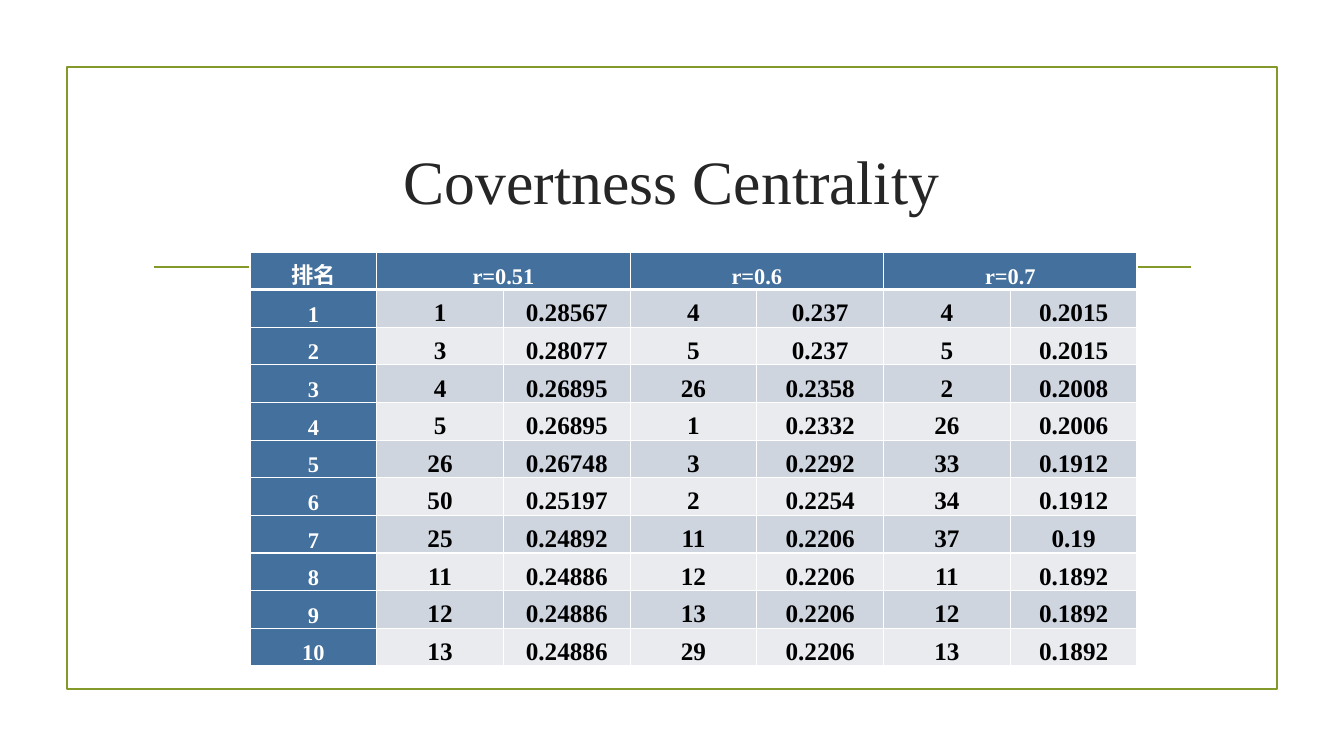
from lxml.etree import SubElement
from pptx import Presentation
from pptx.dml.color import RGBColor
from pptx.enum.shapes import MSO_CONNECTOR as Connector, MSO_SHAPE as Shape
from pptx.enum.text import MSO_ANCHOR as Anchor, PP_ALIGN as Align
from pptx.oxml import parse_xml
from pptx.oxml.ns import nsdecls, qn
from pptx.util import Pt

# Content
TITLE = "Covertness Centrality"
RANK_HEADING = "排名"
RADII = ["r=0.51", "r=0.6", "r=0.7"]
RANKING = [  # node and score for each radius
    ("1", "0.28567", "4", "0.237", "4", "0.2015"),
    ("3", "0.28077", "5", "0.237", "5", "0.2015"),
    ("4", "0.26895", "26", "0.2358", "2", "0.2008"),
    ("5", "0.26895", "1", "0.2332", "26", "0.2006"),
    ("26", "0.26748", "3", "0.2292", "33", "0.1912"),
    ("50", "0.25197", "2", "0.2254", "34", "0.1912"),
    ("25", "0.24892", "11", "0.2206", "37", "0.19"),
    ("11", "0.24886", "12", "0.2206", "11", "0.1892"),
    ("12", "0.24886", "13", "0.2206", "12", "0.1892"),
    ("13", "0.24886", "29", "0.2206", "13", "0.1892"),
]

# Style
FONT = "Times New Roman"
OLIVE = RGBColor(0x83, 0x99, 0x2A)
CHARCOAL = RGBColor(0x26, 0x26, 0x26)
BLACK = RGBColor(0, 0, 0)
WHITE = RGBColor(0xFF, 0xFF, 0xFF)
BLUE = RGBColor(0x44, 0x70, 0x9D)
BANDS = [RGBColor(0xCF, 0xD5, 0xDF), RGBColor(0xE9, 0xEB, 0xEF)]

# Layout in px
SLIDE = (1344, 756)
FRAME = (67, 67, 1210, 622)
RULE = (154, 267, 1191, 267)
TITLE_BOX = (143, 108, 1058, 144)
TABLE_BOX = (250, 252, 887, 414)
CELL_INSET = 1


def px(length):
    return round(length * 914400 / 100.8)


def emu(lengths):
    return [px(length) for length in lengths]


def write(frame, text, *, size, color, bold=False):
    paragraph = frame.paragraphs[0]
    paragraph.alignment = Align.CENTER
    run = paragraph.add_run()
    run.text = text
    run.font.name, run.font.size = FONT, Pt(size)
    run.font.bold, run.font.color.rgb = bold, color


def fill_cell(cell, fill, top=1, bottom=1):
    cell.fill.solid()
    cell.fill.fore_color.rgb = fill
    cell.vertical_anchor = Anchor.BOTTOM
    cell.margin_left = cell.margin_right = cell.margin_top = px(CELL_INSET)
    cell.margin_bottom = 0
    properties = cell._tc.get_or_add_tcPr()
    for place, (side, width) in enumerate(zip("LRTB", (1, 1, top, bottom))):
        properties.insert(place, parse_xml(
            f'<a:ln{side} {nsdecls("a")} w="{Pt(width)}"><a:solidFill>'
            f'<a:srgbClr val="{WHITE}"/></a:solidFill></a:ln{side}>'))


presentation = Presentation()
presentation.slide_width, presentation.slide_height = emu(SLIDE)
slide = presentation.slides.add_slide(presentation.slide_layouts[6])

# Frame and rule
frame = slide.shapes.add_shape(Shape.RECTANGLE, *emu(FRAME))
frame.shadow.inherit = False
frame.fill.background()
rule = slide.shapes.add_connector(Connector.STRAIGHT, *emu(RULE))
SubElement(rule._element.spPr, qn("a:effectLst"))
for outline in (frame.line, rule.line):
    outline.color.rgb = OLIVE
    outline.width = Pt(1.25)

# Title
title = slide.shapes.add_textbox(*emu(TITLE_BOX)).text_frame
title.word_wrap = True
title.vertical_anchor = Anchor.MIDDLE
write(title, TITLE, size=44, color=CHARCOAL)

# Ranking table
header = [RANK_HEADING]
for radius in RADII:
    header += [radius, ""]
rows = [header] + [(str(rank), *scores) for rank, scores in enumerate(RANKING, 1)]
table = slide.shapes.add_table(len(rows), len(header), *emu(TABLE_BOX)).table
for column in table.columns:
    column.width = px(TABLE_BOX[2] / len(header))
for row in table.rows:
    row.height = px(TABLE_BOX[3] / len(rows))

for r, values in enumerate(rows):
    for c, value in enumerate(values):
        cell = table.cell(r, c)
        heading = r == 0 or c == 0
        fill_cell(cell, BLUE if heading else BANDS[(r - 1) % 2],
                  top=3 if r == 1 else 1, bottom=3 if r == 0 else 1)
        if value:
            write(cell.text_frame, value, bold=True, size=16 if heading else 18,
                  color=WHITE if heading else BLACK)
for c in range(1, len(header), 2):
    table.cell(0, c).merge(table.cell(0, c + 1))

presentation.save("out.pptx")
